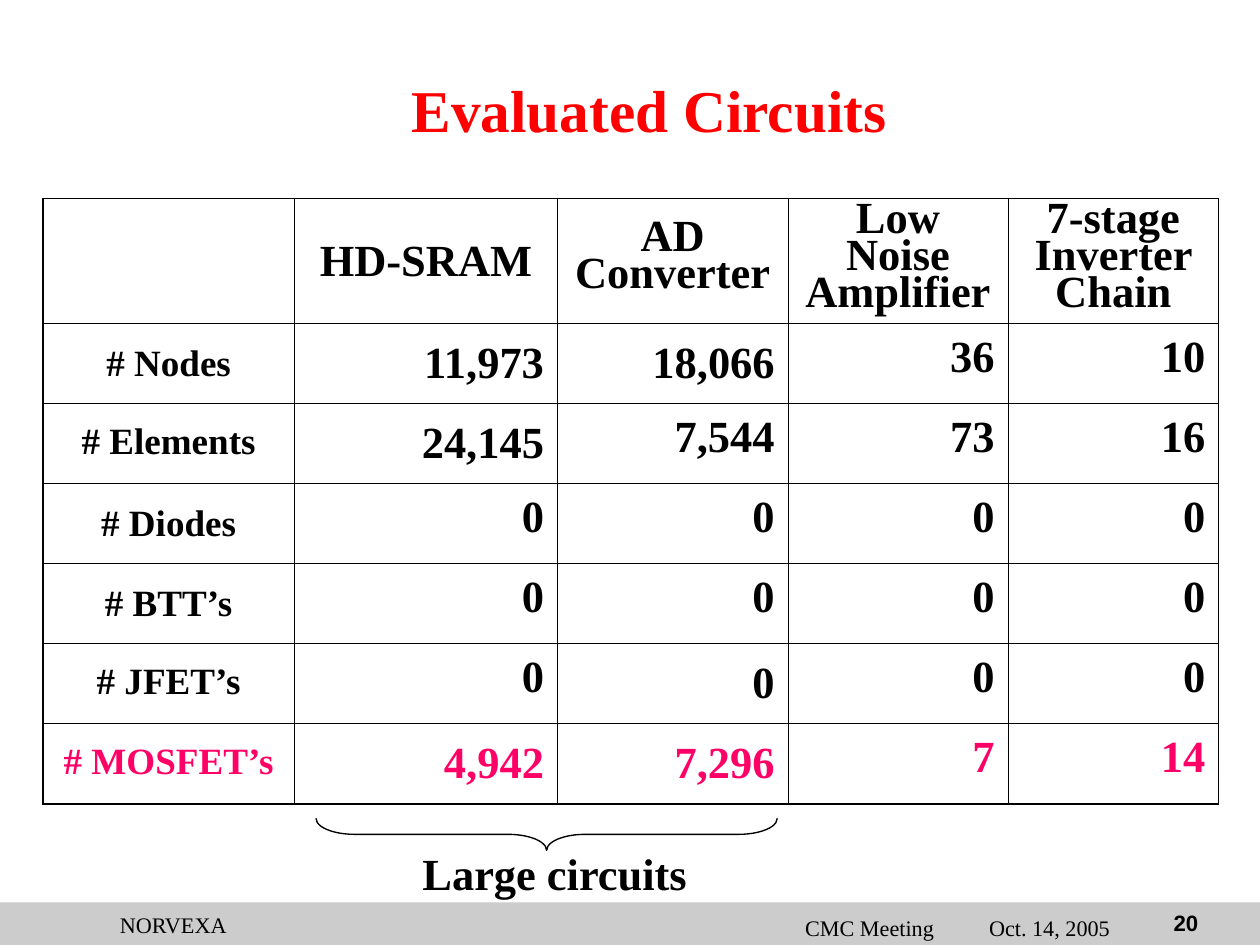
import pptx
import pptx.util
import pptx.dml.color
import pptx.enum.shapes
import pptx.enum.text
import pptx.oxml
import pptx.oxml.ns

Inches = pptx.util.Inches
Pt = pptx.util.Pt
ALIGN = pptx.enum.text.PP_ALIGN
ANCHOR = pptx.enum.text.MSO_ANCHOR
SHAPE = pptx.enum.shapes.MSO_SHAPE

THEME = {
    "serif": "Times New Roman", "sans": "Arial",
    "black": "000000", "red": "FF0000", "pink": "FF0066", "gray": "CCCCCC",
    "title": 32, "body": 24, "label": 20, "foot": 12,
    "thick": 1.08, "thin": 0.45, "brace": 0.75,
}

ROWS = [
    ["", "HD-SRAM", "AD Converter", "Low Noise Amplifier", "7-stage Inverter Chain"],
    ["# Nodes", "11,973", "18,066", "36", "10"],
    ["# Elements", "24,145", "7,544", "73", "16"],
    ["# Diodes", "0", "0", "0", "0"],
    ["# BTT’s", "0", "0", "0", "0"],
    ["# JFET’s", "0", "0", "0", "0"],
    ["# MOSFET’s", "4,942", "7,296", "7", "14"],
]
LOOSE = {(0, 1), (1, 0), (1, 1), (1, 2), (2, 1), (3, 0), (4, 0), (5, 2), (6, 1), (6, 2)}
WIDTHS = [1.89, 1.97, 1.73, 1.65, 1.58]
HEIGHTS = [0.94] + [0.6] * 6

TEXTS = [
    ("20", (8.56, 6.77, 0.67, 0.3), "foot", "black", "sans", True, ALIGN.CENTER),
    ("CMC Meeting\tOct. 14, 2005", (5.94, 6.81, 2.84, 0.3), "foot", "black", "serif", False, ALIGN.LEFT),
    ("NORVEXA", (0.16, 6.79, 2.28, 0.3), "foot", "black", "serif", False, ALIGN.CENTER),
    ("Evaluated Circuits", (2.99, 0.5, 4, 0.63), "title", "red", "serif", True, ALIGN.LEFT),
    ("Large circuits", (3.07, 6.3, 2.4, 0.5), "body", "black", "serif", True, ALIGN.LEFT),
]
DATE_TAB = 1.38


def tint(name):
    return pptx.dml.color.RGBColor.from_string(THEME[name])


def style(para, size, color, face="serif", bold=True):
    font = para.font
    font.size = Pt(THEME[size])
    font.name = THEME[face]
    font.bold = bold
    font.color.rgb = tint(color)


def add_text(slide, text, place, size, color, face, bold, align):
    box = slide.shapes.add_textbox(*map(Inches, place))
    frame = box.text_frame
    frame.word_wrap = True
    if face == "sans":
        frame.vertical_anchor = ANCHOR.MIDDLE
    para = frame.paragraphs[0]
    para.text = text
    para.alignment = align
    if "\t" in text:
        space = pptx.oxml.ns.nsdecls("a")
        tabs = f'<a:tabLst {space}><a:tab pos="{Inches(DATE_TAB)}" algn="l"/></a:tabLst>'
        para._p.get_or_add_pPr().append(pptx.oxml.parse_xml(tabs))
    style(para, size, color, face, bold)


def add_edges(cell, row, col):
    outer = {"L": col == 0, "R": col == len(WIDTHS) - 1,
             "T": row == 0, "B": row == len(ROWS) - 1}
    props = cell._tc.get_or_add_tcPr()
    space = pptx.oxml.ns.nsdecls("a")
    for side, thick in outer.items():
        width = Pt(THEME["thick" if thick else "thin"])
        props.append(pptx.oxml.parse_xml(
            f'<a:ln{side} {space} w="{width}"><a:solidFill>'
            f'<a:srgbClr val="{THEME["black"]}"/></a:solidFill></a:ln{side}>'))


def fill_cell(cell, row, col):
    add_edges(cell, row, col)
    cell.fill.background()
    cell.vertical_anchor = ANCHOR.MIDDLE
    cell.margin_left = cell.margin_right = Inches(0.1)
    cell.margin_top = cell.margin_bottom = Inches(0.05)
    para = cell.text_frame.paragraphs[0]
    para.text = ROWS[row][col]
    para.alignment = ALIGN.RIGHT if row and col else ALIGN.CENTER
    if para.text and (row, col) not in LOOSE:
        para.line_spacing = Pt(20)
        para.space_after = Pt(2)
    last = row == len(ROWS) - 1
    style(para, "body" if col else "label", "pink" if last else "black")


def add_grid(slide):
    place = (0.32, 1.49, sum(WIDTHS), sum(HEIGHTS))
    grid = slide.shapes.add_table(len(ROWS), len(WIDTHS), *map(Inches, place)).table
    grid.first_row = grid.horz_banding = False
    for part, width in zip(grid.columns, WIDTHS):
        part.width = Inches(width)
    for part, height in zip(grid.rows, HEIGHTS):
        part.height = Inches(height)
    for row in range(len(ROWS)):
        for col in range(len(WIDTHS)):
            fill_cell(grid.cell(row, col), row, col)


def add_brace(slide):
    brace = slide.shapes.add_shape(SHAPE.LEFT_BRACE, *map(Inches, (3.98, 4.53, 0.24, 3.46)))
    brace.rotation = 270
    brace.adjustments[0] = 1.2
    brace.shadow.inherit = False
    brace.fill.background()
    brace.line.color.rgb = tint("black")
    brace.line.width = Pt(THEME["brace"])


def add_band(slide):
    band = slide.shapes.add_shape(SHAPE.RECTANGLE, *map(Inches, (0, 6.77, 9.45, 0.32)))
    band.shadow.inherit = False
    band.fill.solid()
    band.fill.fore_color.rgb = tint("gray")
    band.line.fill.background()


def main():
    deck = pptx.Presentation()
    deck.slide_width = Inches(9.45)
    deck.slide_height = Inches(7.09)
    slide = deck.slides.add_slide(deck.slide_layouts[6])
    add_band(slide)
    add_grid(slide)
    add_brace(slide)
    for item in TEXTS:
        add_text(slide, *item)
    deck.save("out.pptx")


if __name__ == "__main__":
    main()
